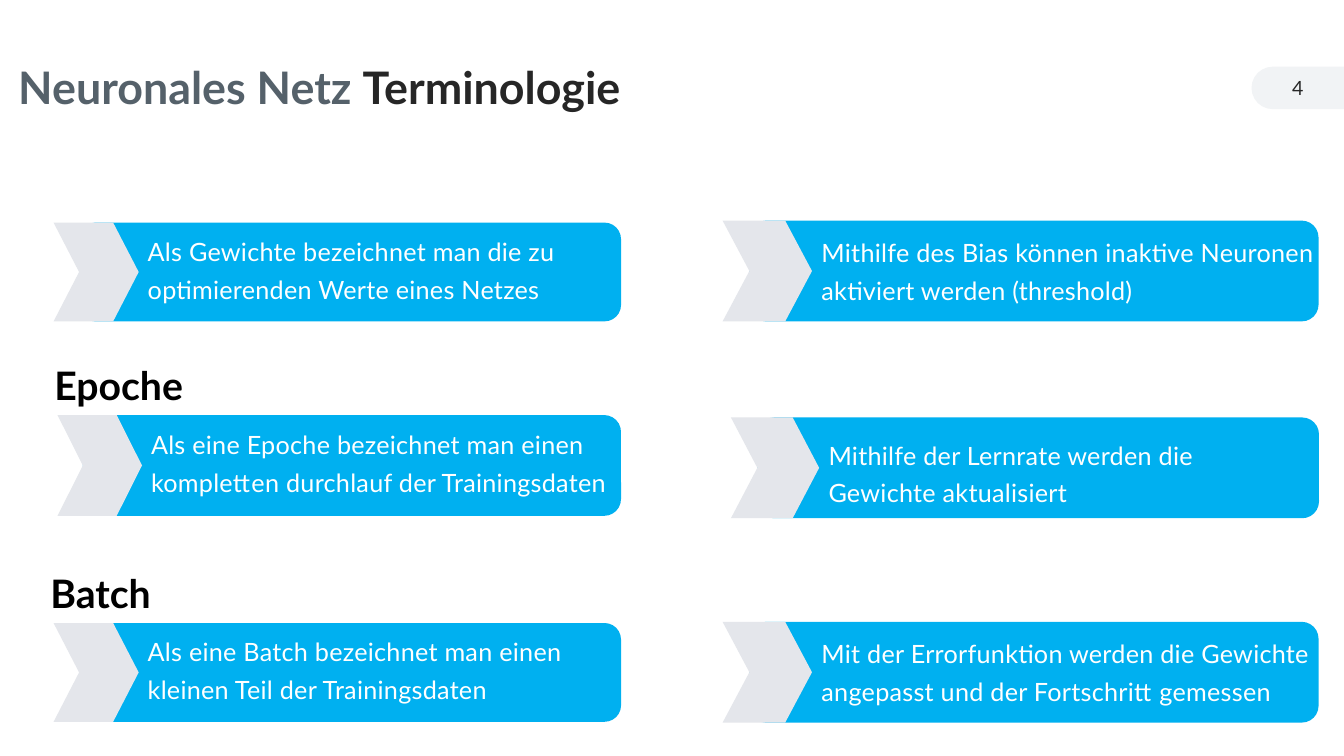
from pptx import Presentation
from pptx.dml.color import RGBColor
from pptx.enum.shapes import MSO_SHAPE
from pptx.enum.text import MSO_ANCHOR, MSO_AUTO_SIZE, PP_ALIGN
from pptx.util import Cm, Pt

COLORS = {"slate": "55616A", "ink": "262626", "black": "000000", "white": "FFFFFF",
          "blue": "00B0F0", "chevron": "E4E6EB", "badge": "F1F3F5"}

TITLE = dict(size=Pt(32), bold=True)
HEADING = dict(size=Pt(28), bold=True)
BODY = dict(size=Pt(18))
NUMBER = dict(size=Pt(14))

# Box (left, top, width, height), text offset from the top, text width, text; in cm
CARDS = [
    ((1.35, 5.61, 14.3, 2.49), 0.03, 11.66,
     "Als Gewichte bezeichnet man die zu optimierenden Werte eines Netzes"),
    ((18.21, 5.56, 15.02, 2.54), 0.1, 12.52,
     "Mithilfe des Bias können inaktive Neuronen aktiviert werden (threshold)"),
    ((1.45, 10.46, 14.2, 2.54), 0.05, 11.84,
     "Als eine Epoche bezeichnet man einen kompletten durchlauf der Trainingsdaten"),
    ((18.42, 10.52, 14.82, 2.54), 0.25, 12.07,
     "Mithilfe der Lernrate werden die Gewichte aktualisiert"),
    ((1.35, 15.7, 14.3, 2.49), 0.03, 11.66,
     "Als eine Batch bezeichnet man einen kleinen Teil der Trainingsdaten"),
    ((18.21, 15.67, 15.02, 2.54), 0.1, 12.52,
     "Mit der Errorfunktion werden die Gewichte angepasst und der Fortschritt gemessen"),
]
HEADINGS = [((1.37, 8.69, 9.73, 1.75), "Epoche"), ((1.27, 13.92, 9.73, 1.75), "Batch")]


def add_shape(shapes, kind, box, color, adjustment=None):
    sp = shapes.add_shape(kind, *map(Cm, box))
    sp.shadow.inherit = False
    sp.fill.solid()
    sp.fill.fore_color.rgb = RGBColor.from_string(COLORS[color])
    sp.line.fill.background()
    if adjustment is not None:
        sp.adjustments[0] = adjustment
    return sp


def add_text(shapes, box, runs, font, spacing=None, align=None,
             anchor=MSO_ANCHOR.TOP, auto_size=MSO_AUTO_SIZE.NONE, tracking=None):
    """Place one paragraph of (text, colour) runs; tracking is in 1/100 pt."""
    tf = shapes.add_textbox(*map(Cm, box)).text_frame
    frame = dict(word_wrap=True, margin_left=0, margin_right=0,
                 vertical_anchor=anchor, auto_size=auto_size)
    for name, value in frame.items():
        setattr(tf, name, value)
    p = tf.paragraphs[0]
    p.alignment = align
    p.line_spacing = spacing
    for text, color in runs:
        r = p.add_run()
        r.text = text
        for name, value in dict(name="Lato", **font).items():
            setattr(r.font, name, value)
        r.font.color.rgb = RGBColor.from_string(COLORS[color])
        if tracking:
            r._r.get_or_add_rPr().set("spc", str(tracking))


def add_title(slide, box):
    add_text(slide.shapes, box, [("Neuronales Netz ", "slate"), ("Terminologie", "ink")],
             TITLE, spacing=0.9, anchor=MSO_ANCHOR.MIDDLE)


def add_page_badge(slide, box, number):
    """Draw a tab at the slide edge, rounded on its left side."""
    left, top, width, height = box
    shift = (width - height) / 2
    upright = (left + shift, top - shift, height, width)
    sp = add_shape(slide.shapes, MSO_SHAPE.ROUND_2_SAME_RECTANGLE, upright, "badge", 0.5)
    sp.rotation = 270
    add_text(slide.shapes, box, [(number, "ink")], NUMBER,
             align=PP_ALIGN.CENTER, anchor=MSO_ANCHOR.MIDDLE)


def add_heading(slide, box, text):
    add_text(slide.shapes, box, [(text, "black")], HEADING, spacing=1.25,
             auto_size=MSO_AUTO_SIZE.SHAPE_TO_FIT_TEXT)


def add_card(slide, box, text_offset, text_width, text):
    """Group a blue bar, the chevron over its left end, and its text."""
    left, top, width, height = box
    shapes = slide.shapes.add_group_shape().shapes
    inset = 0.045 * width
    add_shape(shapes, MSO_SHAPE.ROUNDED_RECTANGLE,
              (left + inset, top, width - inset, height), "blue")
    add_shape(shapes, MSO_SHAPE.CHEVRON, (left, top, 0.15 * width, height), "chevron", 0.3)
    add_text(shapes, (left + 0.166 * width, top + text_offset, text_width, 2.15),
             [(text, "white")], BODY, spacing=1.25, tracking=20,
             auto_size=MSO_AUTO_SIZE.SHAPE_TO_FIT_TEXT)


def main():
    prs = Presentation()
    prs.slide_width, prs.slide_height = Cm(33.87), Cm(19.05)
    slide = prs.slides.add_slide(prs.slide_layouts[6])
    add_page_badge(slide, (31.54, 1.68, 2.33, 1.07), "4")
    add_title(slide, (0.46, 1.14, 16.71, 2.24))
    for card in CARDS:
        add_card(slide, *card)
    for box, text in HEADINGS:
        add_heading(slide, box, text)
    prs.save("out.pptx")


if __name__ == "__main__":
    main()
